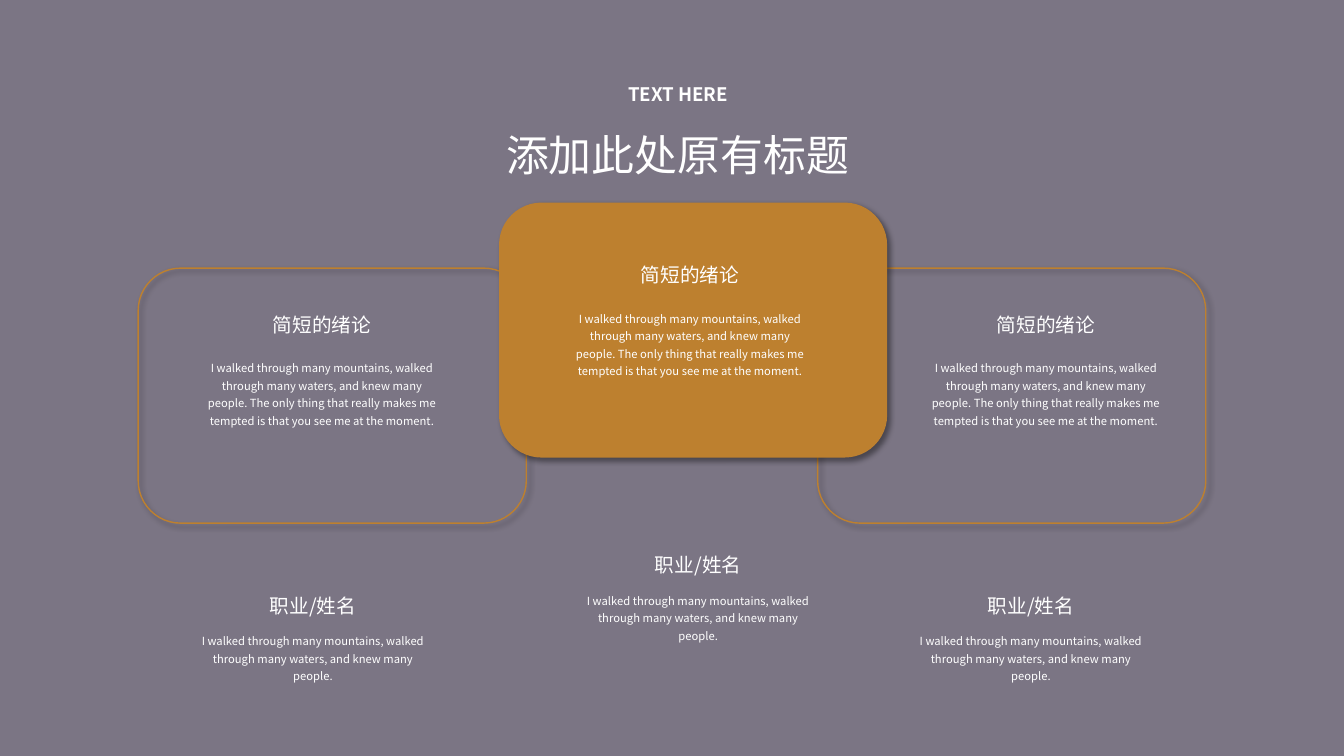
from lxml.etree import SubElement
from pptx import Presentation
from pptx.dml.color import RGBColor
from pptx.enum.shapes import MSO_SHAPE as Shape
from pptx.enum.text import MSO_ANCHOR as Anchor, MSO_AUTO_SIZE as AutoSize, PP_ALIGN as Align
from pptx.oxml.ns import qn
from pptx.util import Inches, Pt

COLORS = {"background": "7B7584", "accent": "BD802F", "text": "FFFFFF", "shadow": "000000"}
FONT = "Noto Sans CJK SC"
WIDTH, HEIGHT = Inches(13.33), Inches(7.5)

# All positions and sizes are percentages of the slide's width or height.
CARD_WIDTH, CARD_HEIGHT = 28.88, 33.73
HEADING_WIDTH, HEADING_HEIGHT, BODY_WIDTH = 17.48, 4.53, 18.68

CONCLUSION = "简短的绪论"
ROLE = "职业/姓名"
SHORT_BODY = "I walked through many mountains, walked through many waters, and knew many people."
LONG_BODY = SHORT_BODY + " The only thing that really makes me tempted is that you see me at the moment."

# left, top, filled
CARDS = [(60.84, 35.47, False), (10.28, 35.47, False), (37.13, 26.8, True)]
# centre, top
CONCLUSIONS = [(23.97, 40.67), (51.35, 34.13), (77.83, 40.67)]
ROLES = [(23.29, 77.87), (51.95, 72.53), (76.71, 77.87)]


def color(name):
    return RGBColor.from_string(COLORS[name])


def across(share):
    return round(WIDTH * share / 100)


def down(share):
    return round(HEIGHT * share / 100)


def add_shadow(shape):
    """Cast a soft shadow to the lower right."""
    shape.shadow.inherit = False
    effects = shape._element.spPr.find(qn("a:effectLst"))
    shadow = SubElement(effects, qn("a:outerShdw"), blurRad=str(Pt(4)), dist=str(Pt(3)),
                        dir=str(45 * 60000), algn="tl", rotWithShape="0")
    tone = SubElement(shadow, qn("a:srgbClr"), val=COLORS["shadow"])
    SubElement(tone, qn("a:alpha"), val="40000")


def add_card(slide, left, top, filled):
    card = slide.shapes.add_shape(Shape.ROUNDED_RECTANGLE, across(left), down(top),
                                  across(CARD_WIDTH), down(CARD_HEIGHT))
    if filled:
        card.fill.solid()
        card.fill.fore_color.rgb = color("accent")
        card.line.fill.background()
    else:
        card.fill.background()
        card.line.color.rgb = color("accent")
        card.line.width = Pt(1)
    add_shadow(card)


def place(box, center, top, width, height):
    box.left, box.top = across(center - width / 2), down(top)
    box.width, box.height = across(width), down(height)


def write(box, text, size, spacing=1.0, bold=False, grow=True):
    frame = box.text_frame
    frame.text = text
    frame.word_wrap = True
    frame.vertical_anchor = Anchor.TOP
    frame.auto_size = AutoSize.SHAPE_TO_FIT_TEXT if grow else AutoSize.NONE
    para = frame.paragraphs[0]
    para.alignment = Align.CENTER
    para.line_spacing = spacing
    para.space_before = Pt(0)
    span = para.runs[0]
    span.font.size = Pt(size)
    span.font.bold = bold
    span.font.color.rgb = color("text")
    span.font.name = FONT
    SubElement(span.font._element, qn("a:ea"), typeface=FONT)


def add_text(slide, center, top, width, height, text, size, **style):
    box = slide.shapes.add_textbox(0, 0, 0, 0)
    write(box, text, size, **style)
    place(box, center, top, width, height)


def add_block(slide, center, top, heading, body, body_offset, body_height):
    """Put a heading over a small paragraph, both centred on one axis."""
    add_text(slide, center, top + body_offset, BODY_WIDTH, body_height, body, 8, spacing=1.3)
    add_text(slide, center, top, HEADING_WIDTH, HEADING_HEIGHT, heading, 14)


def add_header(slide):
    title = slide.shapes.title
    write(title, "添加此处原有标题", 30.6, spacing=1.1, grow=False)
    place(title, 50.41, 15.73, 43.96, 7.47)
    add_text(slide, 50.45, 10.27, 34.13, 4.27, "TEXT HERE", 13.3, bold=True, grow=False)


def main():
    deck = Presentation()
    deck.slide_width, deck.slide_height = WIDTH, HEIGHT
    page = deck.slides.add_slide(deck.slide_layouts[5])
    page.background.fill.solid()
    page.background.fill.fore_color.rgb = color("background")
    for left, top, filled in CARDS:
        add_card(page, left, top, filled)
    for center, top in ROLES:
        add_block(page, center, top, ROLE, SHORT_BODY, 4.87, 6)
    for center, top in CONCLUSIONS:
        add_block(page, center, top, CONCLUSION, LONG_BODY, 6, 10.67)
    add_header(page)
    deck.save("out.pptx")


if __name__ == "__main__":
    main()
